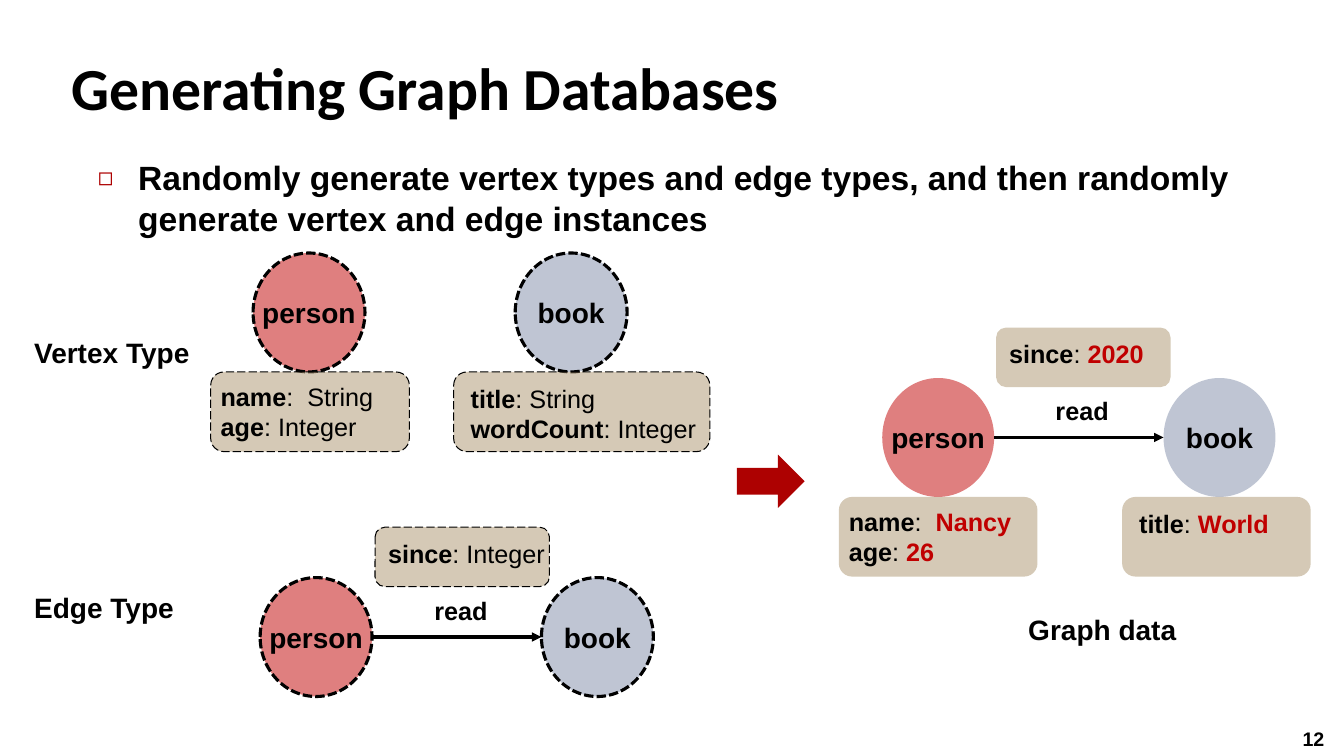
from lxml import etree
from pptx import Presentation, util as u
from pptx.dml.color import RGBColor
from pptx.enum import dml, shapes, text
from pptx.oxml.ns import qn

PX = 9144  # 100 px to the inch
COLOURS = {"black": "000000", "red": "C00000", "accent": "AD0101",
           "person": "C00000", "book": "808DA9", "card": "AC956E"}
VERTEX_WIDTH, VERTEX_HEIGHT = 111, 118


def write(shape, lines, size, **frame_format):
    """Fill a shape with lines of (text, bold, colour) runs."""
    frame = shape.text_frame
    for name, value in {"word_wrap": True, **frame_format}.items():
        setattr(frame, name, value)
    for index, runs in enumerate(lines):
        paragraph = frame.add_paragraph() if index else frame.paragraphs[0]
        for words, bold, colour in runs:
            run = paragraph.add_run()
            run.text = words
            for name, value in {"name": "Arial", "size": u.Pt(size), "bold": bold}.items():
                setattr(run.font, name, value)
            run.font.color.rgb = RGBColor.from_string(COLOURS[colour])
    return frame.paragraphs[0]


def add_filled(kind, box, colour, opacity=100, line_width=None, dash=None):
    """Add a preset shape with a flat fill and, if asked, a dashed outline."""
    shape = slide.shapes.add_shape(kind, *(value * PX for value in box))
    shape.shadow.inherit = False
    shape.fill.solid()
    shape.fill.fore_color.rgb = RGBColor.from_string(COLOURS[colour])
    if opacity < 100:
        fill_colour = shape._element.spPr.find(qn("a:solidFill"))[0]
        etree.SubElement(fill_colour, qn("a:alpha"), val=str(opacity * 1000))
    if line_width:
        shape.line.color.rgb = RGBColor.from_string(COLOURS["black"])
        shape.line.width = u.Pt(line_width)
        shape.line.dash_style = dash
    else:
        shape.line.fill.background()
    return shape


presentation = Presentation()
presentation.slide_width, presentation.slide_height = 1333 * PX, 750 * PX
slide = presentation.slides.add_slide(presentation.slide_layouts[1])
title, body = slide.placeholders

# Title and bullet
for placeholder, box in ((title, (61, 34, 1224, 93)), (body, (87, 151, 1180, 150))):
    for name, value in zip(("left", "top", "width", "height"), box):
        setattr(placeholder, name, value * PX)
paragraph = write(title, [[("Generating Graph Databases", True, "black")]], 42.6,
                  vertical_anchor=text.MSO_ANCHOR.BOTTOM, auto_size=text.MSO_AUTO_SIZE.NONE)
paragraph.runs[0].font.name = "Calibri"
paragraph.alignment = text.PP_ALIGN.LEFT
paragraph.line_spacing = u.Pt(46.6)

paragraph = write(body, [[("Randomly generate vertex types and edge types, and then randomly "
                           "generate vertex and edge instances", True, "black")]], 24,
                  auto_size=text.MSO_AUTO_SIZE.NONE)
paragraph.space_before = u.Pt(0)
properties = paragraph._p.get_or_add_pPr()
properties.set("marL", str(40 * PX))
properties.set("indent", str(-40 * PX))
bullet_colour = etree.SubElement(properties, qn("a:buClr"))
etree.SubElement(bullet_colour, qn("a:srgbClr"), val=COLOURS["accent"])
etree.SubElement(properties, qn("a:buSzPct"), val="75000")
etree.SubElement(properties, qn("a:buFont"), typeface="Arial")
etree.SubElement(properties, qn("a:buChar"), char="◻")

# Vertices: types are dashed, instances have no outline
for label, left, top, is_type in (
        ("person", 251, 251, True), ("book", 511, 251, True),
        ("person", 258, 573, True), ("book", 537, 573, True),
        ("person", 875, 375, False), ("book", 1154, 375, False)):
    vertex = add_filled(shapes.MSO_SHAPE.OVAL, (left, top, VERTEX_WIDTH, VERTEX_HEIGHT), label,
                        50, 2.25 if is_type else None, dml.MSO_LINE.SQUARE_DOT)
    paragraph = write(vertex, [[(label, True, "black")]], 20, word_wrap=False,
                      vertical_anchor=text.MSO_ANCHOR.MIDDLE)
    paragraph.alignment = text.PP_ALIGN.CENTER

# Property cards: box, text offset, properties, type or instance
for (left, top, width, height), (across, down), entries, is_type in (
        ((209, 369, 197, 79), (0, 4), (("name", ":  ", "String"), ("age", ": ", "Integer")), True),
        ((450, 369, 254, 79), (7, 6), (("title", ": ", "String"), ("wordCount", ": ", "Integer")), True),
        ((372, 523, 173, 59), (3, 6), (("since", ": ", "Integer"),), True),
        ((832, 493, 197, 79), (0, 4), (("name", ":  ", "Nancy"), ("age", ": ", "26")), False),
        ((988, 325, 173, 59), (3, 6), (("since", ": ", "2020"),), False),
        ((1113, 493, 187, 79), (7, 6), (("title", ": ", "World"),), False)):
    add_filled(shapes.MSO_SHAPE.ROUNDED_RECTANGLE, (left, top, width, height), "card",
               50, 0.75 if is_type else None, dml.MSO_LINE.LONG_DASH)
    box = slide.shapes.add_textbox((left + across) * PX, (top + down) * PX,
                                   (width + 19) * PX, (height - 8) * PX)
    write(box, [[(key, True, "black"), (colon, False, "black"),
                 (value, not is_type, "black" if is_type else "red")]
                for key, colon, value in entries], 18)

# Edges
for start, end, level in ((370, 537, 632), (986, 1154, 434)):
    edge = slide.shapes.add_connector(shapes.MSO_CONNECTOR.STRAIGHT,
                                      start * PX, level * PX, end * PX, level * PX)
    edge.line.color.rgb = RGBColor.from_string(COLOURS["black"])
    edge.line.width = u.Pt(2.25)
    etree.SubElement(edge.line._get_or_add_ln(), qn("a:tailEnd"), type="triangle")
    etree.SubElement(edge._element.spPr, qn("a:effectLst"))

# Step from types to data
add_filled(shapes.MSO_SHAPE.RIGHT_ARROW, (731, 451, 67, 53), "accent")

# Labels and page number
for label, left, top, width, height, size in (
        ("Vertex Type", 24, 328, 177, 44, 20), ("Edge Type", 24, 581, 177, 44, 20),
        ("Graph data", 1010, 603, 177, 44, 20), ("read", 421, 586, 84, 40, 18),
        ("read", 1037, 387, 84, 40, 18), ("12", 1282, 716, 48, 34, 14)):
    box = slide.shapes.add_textbox(left * PX, top * PX, width * PX, height * PX)
    write(box, [[(label, True, "black")]], size)

presentation.save("out.pptx")
